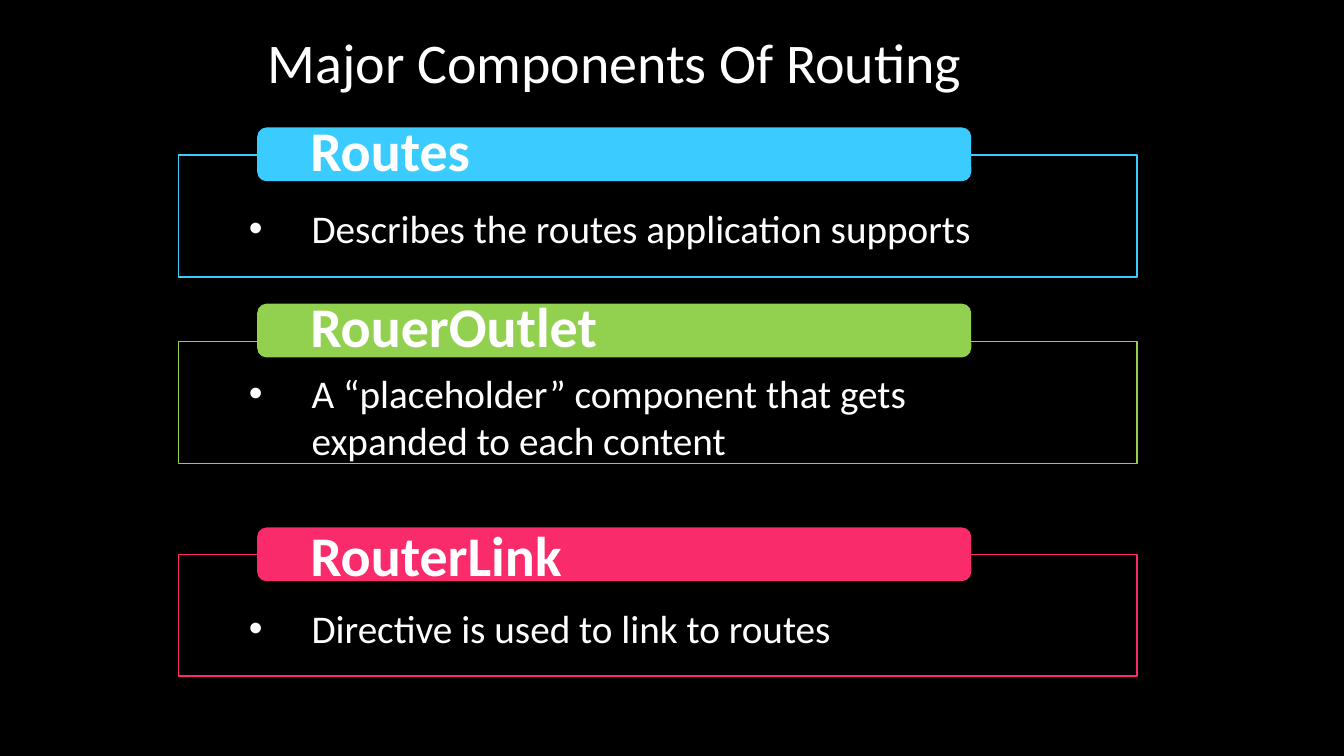
"""Build the slide on the major components of routing."""
from lxml import etree
from pptx import Presentation
from pptx import util as u
from pptx.dml.color import RGBColor
from pptx.enum import shapes, text
from pptx.oxml import ns

WHITE = "FFFFFF"
PARTS = [
    ("Routes", "3BCCFF", 4.6, (3.23, 3.91, 5.03, 2.79), 1.45,
     "Describes the routes application supports"),
    ("RouerOutlet", "92D050", 7.82, (7.67, 8.61, 9.17, 7.21), 2.64,
     "A “placeholder” component that gets expanded to each content"),
    ("RouterLink", "F92B6B", 6.93, (13.31, 13.97, 15.11, 12.98), 1.45,
     "Directive is used to link to routes"),
]


def paint(fill, tone):
    """Give a fill one solid colour."""
    fill.solid()
    fill.fore_color.rgb = RGBColor.from_string(tone)


def place(item, left, top, width, height):
    """Move and size a shape in centimetres."""
    item.left, item.top = u.Cm(left), u.Cm(top)
    item.width, item.height = u.Cm(width), u.Cm(height)


def write(item, words, size, bold=False, align=text.PP_ALIGN.LEFT, wrap=True):
    """Write one white run and return its paragraph."""
    frame = item.text_frame
    frame.word_wrap = wrap
    frame.auto_size = text.MSO_AUTO_SIZE.SHAPE_TO_FIT_TEXT
    frame.vertical_anchor = text.MSO_ANCHOR.TOP
    para = frame.paragraphs[0]
    para.alignment = align
    para.space_before = u.Pt(0)
    run = para.add_run()
    run.text = words
    run.font.name, run.font.size, run.font.bold = "Calibri", u.Pt(size), bold
    run.font.color.rgb = RGBColor.from_string(WHITE)
    return para


def bullet(para):
    """Give a paragraph a round bullet and a hanging indent."""
    props = para._p.get_or_add_pPr()
    props.set("marL", str(u.Cm(1.58)))
    props.set("indent", str(-u.Cm(1.58)))
    etree.SubElement(props, ns.qn("a:buFont")).set("typeface", "Arial")
    etree.SubElement(props, ns.qn("a:buChar")).set("char", "•")


def box(slide, kind, spot, tone, solid):
    """Add a coloured shape, either solid or outlined."""
    item = slide.shapes.add_shape(kind, *map(u.Cm, spot))
    item.shadow.inherit = False
    if solid:
        paint(item.fill, tone)
    else:
        item.fill.background()
    paint(item.line.fill, tone)
    item.line.width = u.Pt(1)


def label(slide, words, top, width):
    """Add the bold name of a component."""
    item = slide.shapes.add_textbox(*map(u.Cm, (7.57, top, width, 1.96)))
    write(item, words, 40, bold=True, wrap=False)


def main():
    """Build and save the slide."""
    deck = Presentation()
    deck.slide_width, deck.slide_height = u.Cm(33.87), u.Cm(19.05)
    slide = deck.slides.add_slide(deck.slide_layouts.get_by_name("Comparison"))
    paint(slide.background.fill, "000000")
    title, *bodies, spare = list(slide.placeholders)
    spare.element.getparent().remove(spare.element)
    place(title, 3.84, 0.56, 23.29, 1.96)
    write(title, "Major Components Of Routing", 40, align=text.PP_ALIGN.CENTER)
    kinds = shapes.MSO_SHAPE
    for body, (name, tone, width, tops, height, words) in zip(bodies, PARTS):
        pill, edge, list_top, name_top = tops
        box(slide, kinds.RECTANGLE, (4.5, edge, 24.16, 3.07), tone, False)
        box(slide, kinds.ROUNDED_RECTANGLE, (6.5, pill, 17.96, 1.32), tone, True)
        place(body, 6.02, list_top, 21.11, height)
        bullet(write(body, words, 28))
        label(slide, name, name_top, width)
    deck.save("out.pptx")


if __name__ == "__main__":
    main()
